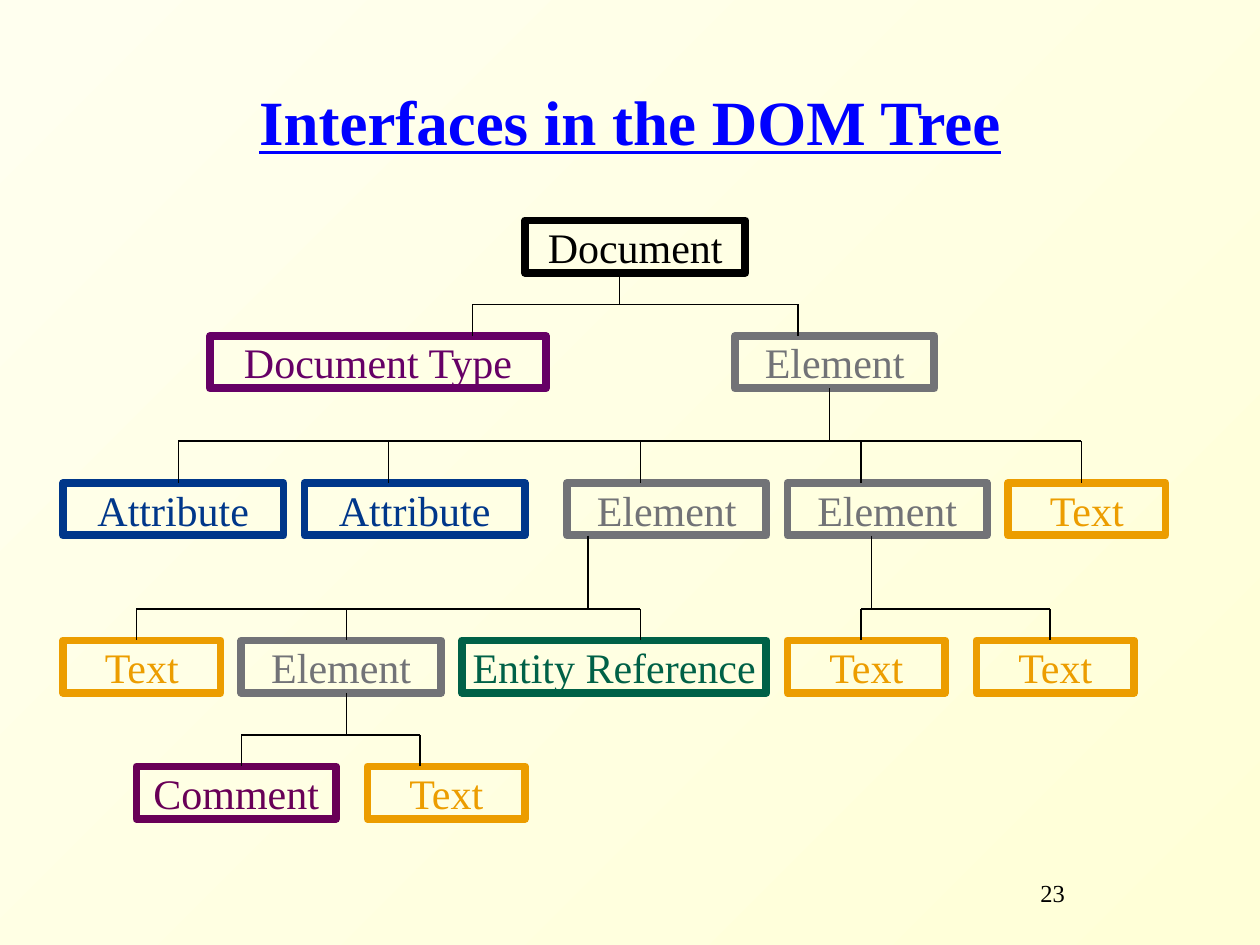
"""Build a slide that shows the interfaces in the DOM tree."""
from dataclasses import dataclass

from lxml.etree import SubElement
from pptx import Presentation
from pptx.dml.color import RGBColor
from pptx.enum.shapes import MSO_CONNECTOR, MSO_SHAPE
from pptx.enum.text import MSO_ANCHOR, PP_ALIGN
from pptx.oxml.ns import qn
from pptx.slide import Slide
from pptx.util import Emu, Pt

PX = 7620
COLORS = {
    "title": "0000FF",
    "line": "000000",
    "Document": "000000",
    "Document Type": "660066",
    "Element": "727377",
    "Attribute": "00378A",
    "Text": "EC9D00",
    "Entity Reference": "006147",
    "Comment": "690057",
    "bottom right": "FFFFD7",
    "top left": "FFFFEF",
}
WIDTHS = {
    "Document": 210,
    "Document Type": 320,
    "Element": 190,
    "Attribute": 210,
    "Text": 150,
    "Entity Reference": 290,
    "Comment": 190,
}
NODE_HEIGHT = 50
LEVELS = [
    (210, [("Document", 500)]),
    (320, [("Document Type", 200), ("Element", 700)]),
    (460, [("Attribute", 60), ("Attribute", 290), ("Element", 540),
           ("Element", 750), ("Text", 960)]),
    (610, [("Text", 60), ("Element", 230), ("Entity Reference", 440),
           ("Text", 750), ("Text", 930)]),
    (730, [("Comment", 130), ("Text", 350)]),
]
BRANCHES = [
    (590, 260, 290, 320, [450, 760]),
    (790, 370, 420, 460, [170, 370, 610, 820, 1030]),
    (560, 510, 580, 610, [130, 330, 610]),
    (830, 510, 580, 610, [820, 1000]),
    (330, 660, 700, 730, [230, 400]),
]


def rgb(name):
    return RGBColor.from_string(COLORS[name])


def px(*lengths):
    return [Emu(length * PX) for length in lengths]


@dataclass
class TreeSlide:
    slide: Slide
    font: str = "Times New Roman"

    def style(self, paragraph, size, color):
        paragraph.font.name = self.font
        paragraph.font.size = Pt(size)
        paragraph.font.color.rgb = rgb(color)

    def background(self):
        fill = self.slide.background.fill
        fill.gradient()
        fill.gradient_angle = 135
        for stop, name in zip(fill.gradient_stops, ("bottom right", "top left")):
            stop.color.rgb = rgb(name)

    def title(self, wording, *box):
        title = self.slide.shapes.title
        title.left, title.top, title.width, title.height = px(*box)
        frame = title.text_frame
        frame.text = wording
        frame.vertical_anchor = MSO_ANCHOR.MIDDLE
        heading = frame.paragraphs[0]
        heading.alignment = PP_ALIGN.CENTER
        heading.line_spacing = 0.85
        self.style(heading, 36, "title")
        heading.font.bold = heading.font.underline = True

    def node(self, interface, left, top):
        node = self.slide.shapes.add_shape(
            MSO_SHAPE.RECTANGLE, *px(left, top, WIDTHS[interface], NODE_HEIGHT))
        node.shadow.inherit = False
        node.fill.background()
        node.line.color.rgb = rgb(interface)
        node.line.width = Pt(4.5)
        frame = node.text_frame
        frame.text = interface
        frame.word_wrap = False
        frame.vertical_anchor = MSO_ANCHOR.MIDDLE
        frame.paragraphs[0].alignment = PP_ALIGN.CENTER
        self.style(frame.paragraphs[0], 24, interface)

    def line(self, *ends):
        line = self.slide.shapes.add_connector(MSO_CONNECTOR.STRAIGHT, *px(*ends))
        line.line.color.rgb = rgb("line")
        line.line.width = Pt(0.75)
        SubElement(line._element.spPr, qn("a:effectLst"))

    def branch(self, stem, parent_bottom, bar, child_top, children):
        self.line(children[0], bar, children[-1], bar)
        self.line(stem, parent_bottom, stem, bar)
        for child in children:
            self.line(child, bar, child, child_top)

    def page_number(self, number, *box):
        frame = self.slide.shapes.add_textbox(*px(*box)).text_frame
        frame.word_wrap = True
        frame.text = number
        paragraph = frame.paragraphs[0]
        paragraph._p.get_or_add_pPr().set("marL", str(29 * PX))
        self.style(paragraph, 14, "line")


def main():
    deck = Presentation()
    deck.slide_width, deck.slide_height = px(1200, 900)
    tree = TreeSlide(deck.slides.add_slide(deck.slide_layouts[5]))
    tree.background()
    tree.title("Interfaces in the DOM Tree", 90, 70, 1020, 100)
    for top, nodes in LEVELS:
        for interface, left in nodes:
            tree.node(interface, left, top)
    for branch in BRANCHES:
        tree.branch(*branch)
    tree.page_number("23", 950, 830, 250, 60)
    deck.save("out.pptx")


if __name__ == "__main__":
    main()
